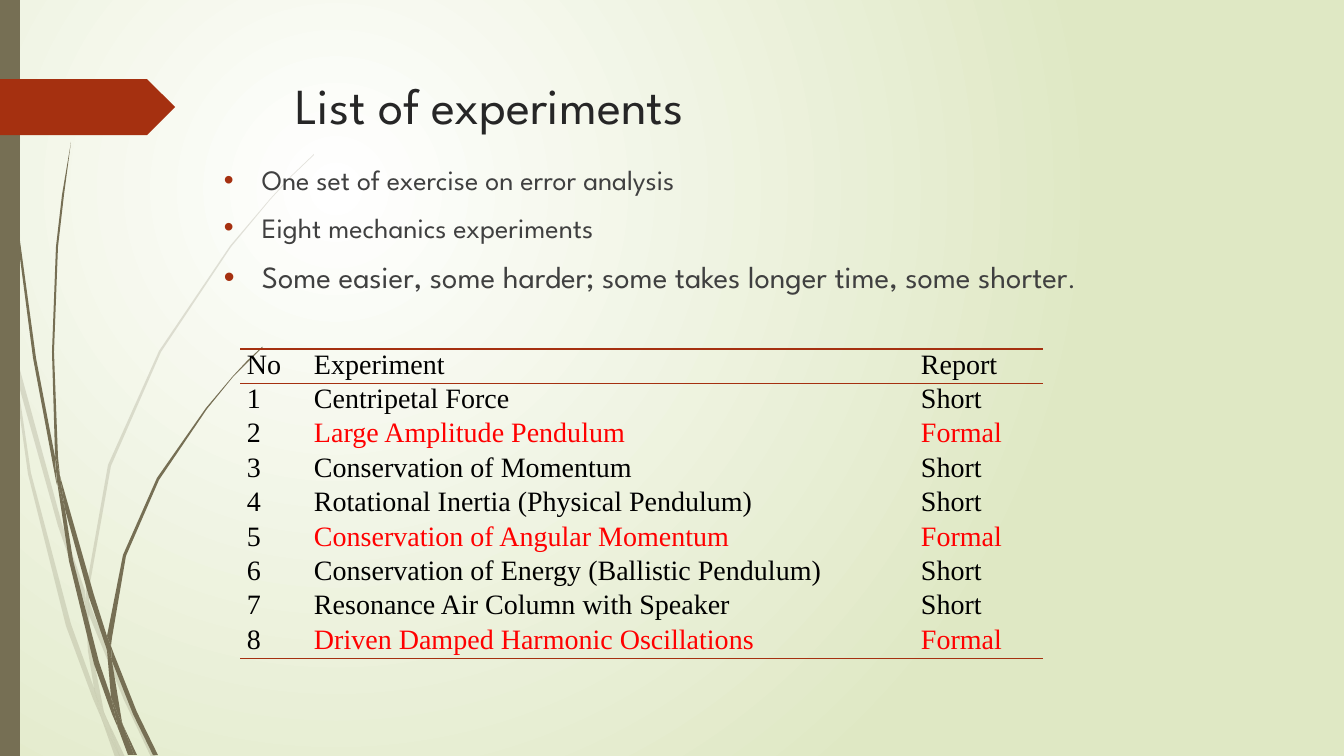
from dataclasses import dataclass

from pptx import Presentation
from pptx.dml.color import RGBColor
from pptx.enum.shapes import MSO_SHAPE as Shape
from pptx.enum.text import MSO_ANCHOR as Anchor, MSO_AUTO_SIZE as AutoSize, PP_ALIGN as Align
from pptx.oxml import parse_xml
from pptx.oxml.ns import nsdecls, qn
from pptx.util import Pt

# Content
TITLE = "List of experiments"
BULLETS = [  # runs of (text, size name)
    [("One set of exercise on error analysis", "body")],
    [("Eight mechanics experiments", "body")],
    [("Some easier, some harder; some takes longer time, some shorter", "large"),
     (".", "small")],
]
HEADER = ("No", "Experiment", "Report")
EXPERIMENTS = [
    ("Centripetal Force", "Short"),
    ("Large Amplitude Pendulum", "Formal"),
    ("Conservation of Momentum", "Short"),
    ("Rotational Inertia (Physical Pendulum)", "Short"),
    ("Conservation of Angular Momentum", "Formal"),
    ("Conservation of Energy (Ballistic Pendulum)", "Short"),
    ("Resonance Air Column with Speaker", "Short"),
    ("Driven Damped Harmonic Oscillations", "Formal"),
]

# Grass blades: outline corners in px
FAINT_BLADES = [
    [(11, 353), (9, 325), (0, 284), (0, 301), (10, 347)],
    [(58, 526), (85, 604), (85, 591), (62, 524), (14, 348), (17, 379)],
    [(93, 612), (89, 601), (89, 615), (124, 700), (151, 757), (156, 757), (128, 698)],
    [(120, 757), (125, 757), (106, 717)],
    [(94, 688), (71, 624), (31, 473), (17, 379), (11, 353), (28, 474), (66, 626),
     (93, 699), (102, 720), (100, 713)],
    [(85, 604), (88, 651), (94, 688), (97, 698), (106, 717), (104, 712), (92, 651),
     (89, 615), (89, 613)],
    [(89, 589), (111, 466), (161, 352), (231, 247), (270, 200), (292, 176), (314, 155),
     (314, 154), (291, 176), (270, 199), (230, 246), (159, 351), (108, 465), (86, 589),
     (86, 591), (89, 601)],
    [(102, 720), (115, 757), (120, 757)],
    [(89, 613), (89, 615), (89, 601), (86, 591), (85, 604)],
    [(97, 698), (94, 688), (100, 713), (102, 720), (120, 757), (106, 717)],
]
DARK_BLADES = [
    [(7, 111), (17, 235), (33, 358), (56, 481), (57, 485), (55, 461), (55, 457),
     (36, 358), (19, 234), (8, 110), (5, 48), (3, 0), (3, 48)],
    [(89, 597), (107, 650), (107, 638), (107, 636), (94, 595), (60, 476), (65, 509)],
    [(114, 654), (111, 646), (112, 661), (133, 714), (153, 755), (158, 755), (137, 712)],
    [(111, 697), (99, 662), (73, 560), (65, 509), (57, 481), (69, 561), (94, 664),
     (112, 714), (118, 728), (117, 723)],
    [(60, 476), (58, 457), (54, 352), (58, 247), (64, 195), (71, 142), (62, 195),
     (56, 247), (52, 352), (55, 453)],
    [(134, 755), (137, 755), (123, 725)],
    [(57, 481), (65, 509), (60, 476), (55, 453), (55, 457)],
    [(112, 638), (126, 556), (159, 480), (207, 409), (233, 377), (248, 362), (263, 347),
     (262, 347), (247, 361), (233, 376), (206, 408), (157, 478), (123, 555), (107, 636),
     (111, 646)],
    [(118, 728), (128, 755), (132, 755)],
    [(107, 650), (111, 697), (117, 712), (123, 725), (122, 722), (112, 661), (110, 656)],
    [(107, 650), (110, 656), (112, 661), (111, 646), (107, 636), (107, 638)],
    [(117, 712), (111, 697), (117, 723), (118, 728), (131, 755), (134, 755), (123, 725)],
]


@dataclass(frozen=True)
class Theme:
    olive: str = "766F54"
    accent: str = "A53010"
    title: str = "262626"
    body: str = "404040"
    ink: str = "000000"
    formal: str = "FF0000"
    background: tuple = ("FFFFFF", "DFE8C4")
    font: str = "League Spartan"
    table_font: str = "Times New Roman"
    sizes = {"title": 36, "large": 22, "body": 20, "small": 18}


THEME = Theme()
EMU_PER_PX = 914400 / 100.8
SLIDE_WIDTH, SLIDE_HEIGHT = 1344, 756
COLUMNS = (67, 607, 129)
TABLE_LEFT, TABLE_TOP, TABLE_HEIGHT = 240, 349, 310
NO_STYLE = "{2D5ABB26-0587-4C30-8999-92F81FD0307C}"


def px(value):
    return round(value * EMU_PER_PX)


def add_text(paragraph, text, *, color, size="body", font=THEME.font, align=Align.LEFT):
    paragraph.alignment = align
    run = paragraph.add_run()
    run.text = text
    run.font.name = font
    run.font.size = Pt(THEME.sizes[size])
    run.font.color.rgb = RGBColor.from_string(color)


def paint(shape, color, opacity=100):
    shape.shadow.inherit = False
    shape.line.fill.background()
    shape.fill.solid()
    shape.fill.fore_color.rgb = RGBColor.from_string(color)
    if opacity < 100:
        color_element = shape.element.spPr.find(".//" + qn("a:srgbClr"))
        color_element.append(parse_xml(f'<a:alpha {nsdecls("a")} val="{opacity * 1000}"/>'))


def add_blade(slide, corners, opacity):
    builder = slide.shapes.build_freeform(*corners[0], scale=EMU_PER_PX)
    builder.add_line_segments(corners[1:], close=True)
    paint(builder.convert_to_shape(), THEME.olive, opacity)


def add_bullet(paragraph):
    properties = paragraph._p.get_or_add_pPr()
    properties.set("marL", str(px(38)))
    properties.set("indent", str(px(-38)))
    for xml in (f'<a:buClr {nsdecls("a")}><a:srgbClr val="{THEME.accent}"/></a:buClr>',
                f'<a:buFont {nsdecls("a")} typeface="Arial"/>',
                f'<a:buChar {nsdecls("a")} char="•"/>'):
        properties.append(parse_xml(xml))


def add_border(cell, side, position):
    cell._tc.get_or_add_tcPr().insert(position, parse_xml(
        f'<a:{side} {nsdecls("a")} w="12700"><a:solidFill>'
        f'<a:srgbClr val="{THEME.accent}"/></a:solidFill></a:{side}>'))


def set_background(slide):
    stops = "".join(f'<a:gs pos="{index * 100000}"><a:srgbClr val="{color}"/></a:gs>'
                    for index, color in enumerate(THEME.background))
    slide.element.cSld.insert(0, parse_xml(
        f'<p:bg {nsdecls("p", "a")}><p:bgPr><a:gradFill rotWithShape="1">'
        f'<a:gsLst>{stops}</a:gsLst><a:path path="circle">'
        '<a:fillToRect l="50000" t="50000" r="100000" b="100000"/></a:path>'
        '</a:gradFill><a:effectLst/></p:bgPr></p:bg>'))


def add_decoration(slide):
    for blades, opacity in ((FAINT_BLADES, 20), (DARK_BLADES, 100)):
        for corners in blades:
            add_blade(slide, corners, opacity)
    bar = slide.shapes.add_shape(Shape.RECTANGLE, 0, 0, px(20), px(SLIDE_HEIGHT))
    paint(bar, THEME.olive)
    arrow = slide.shapes.add_shape(Shape.PENTAGON, px(-1), px(79), px(176), px(56))
    paint(arrow, THEME.accent)


def add_title(slide):
    title = slide.shapes.title
    title.left, title.top, title.width, title.height = map(px, (285, 69, 983, 141))
    frame = title.text_frame
    frame.vertical_anchor = Anchor.TOP
    frame.auto_size = AutoSize.NONE
    add_text(frame.paragraphs[0], TITLE, color=THEME.title, size="title")
    title.element.getparent().append(title.element)  # in front of the grass


def add_bullets(slide):
    frame = slide.shapes.add_textbox(*map(px, (214, 158, 937, 417))).text_frame
    frame.word_wrap = True
    for index, runs in enumerate(BULLETS):
        paragraph = frame.add_paragraph() if index else frame.paragraphs[0]
        paragraph.space_before = Pt(10)
        add_bullet(paragraph)
        for text, size in runs:
            add_text(paragraph, text, color=THEME.body, size=size)


def add_experiments(slide):
    rows = [HEADER] + [(str(number), *entry) for number, entry in enumerate(EXPERIMENTS, 1)]
    frame = slide.shapes.add_table(len(rows), len(COLUMNS), px(TABLE_LEFT), px(TABLE_TOP),
                                   px(sum(COLUMNS)), px(TABLE_HEIGHT))
    table = frame.table
    table.first_row = table.horz_banding = False
    frame.element.find(".//" + qn("a:tableStyleId")).text = NO_STYLE
    for column, width in zip(table.columns, COLUMNS):
        column.width = px(width)
    for row_index, values in enumerate(rows):
        table.rows[row_index].height = px(TABLE_HEIGHT / len(rows))
        for column_index, text in enumerate(values):
            cell = table.cell(row_index, column_index)
            cell.margin_left = cell.margin_right = px(7)
            cell.margin_top = cell.margin_bottom = 0
            cell.fill.background()
            is_formal = column_index > 0 and values[-1] == "Formal"
            add_text(cell.text_frame.paragraphs[0], text, font=THEME.table_font,
                     color=THEME.formal if is_formal else THEME.ink, align=Align.JUSTIFY)
            if row_index in (0, len(rows) - 1):
                add_border(cell, "lnB", 0)
            if row_index == 0:
                add_border(cell, "lnT", 0)


def main():
    presentation = Presentation()
    presentation.slide_width, presentation.slide_height = px(SLIDE_WIDTH), px(SLIDE_HEIGHT)
    slide = presentation.slides.add_slide(presentation.slide_layouts[5])
    set_background(slide)
    add_decoration(slide)
    add_title(slide)
    add_bullets(slide)
    add_experiments(slide)
    presentation.save("out.pptx")


if __name__ == "__main__":
    main()
